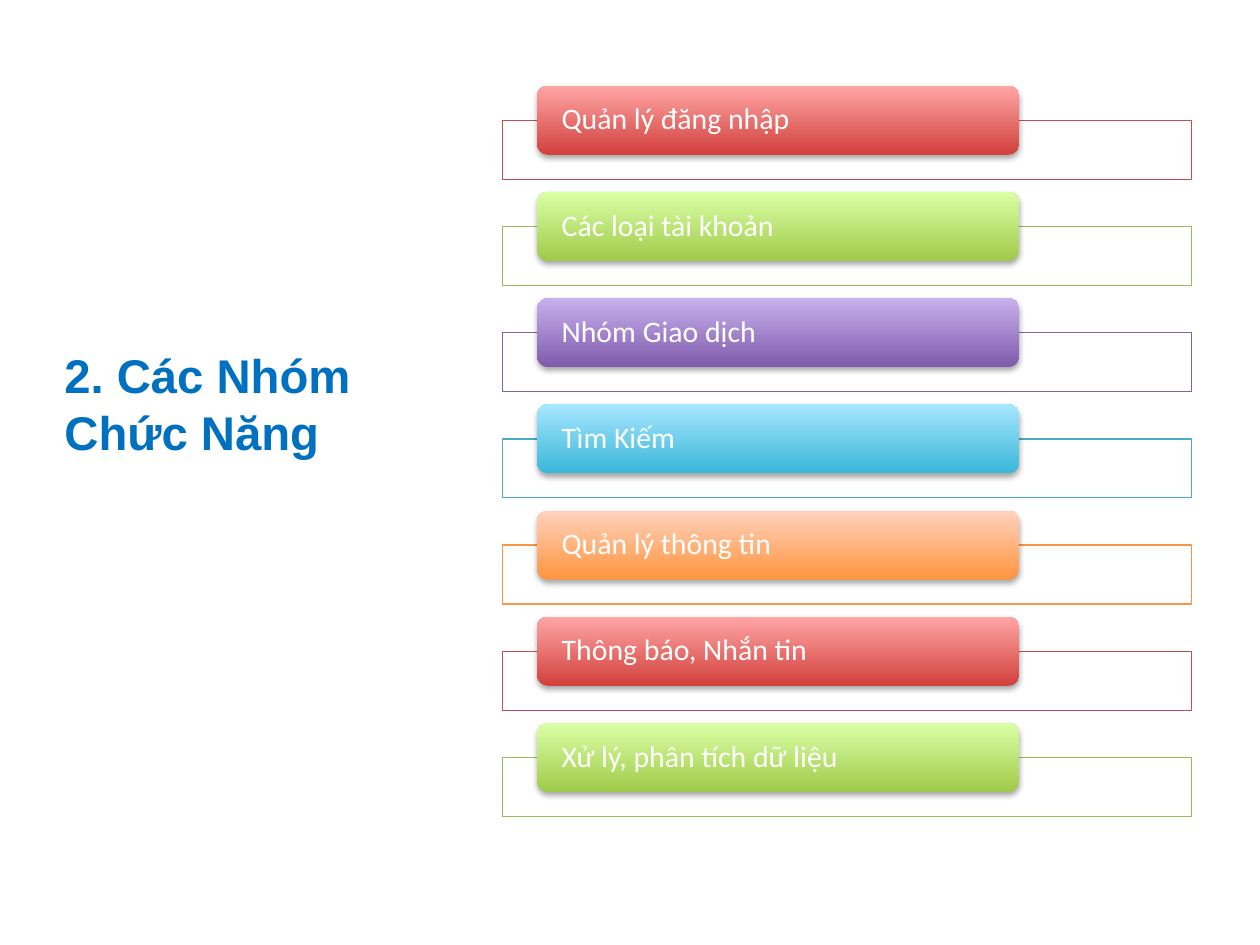
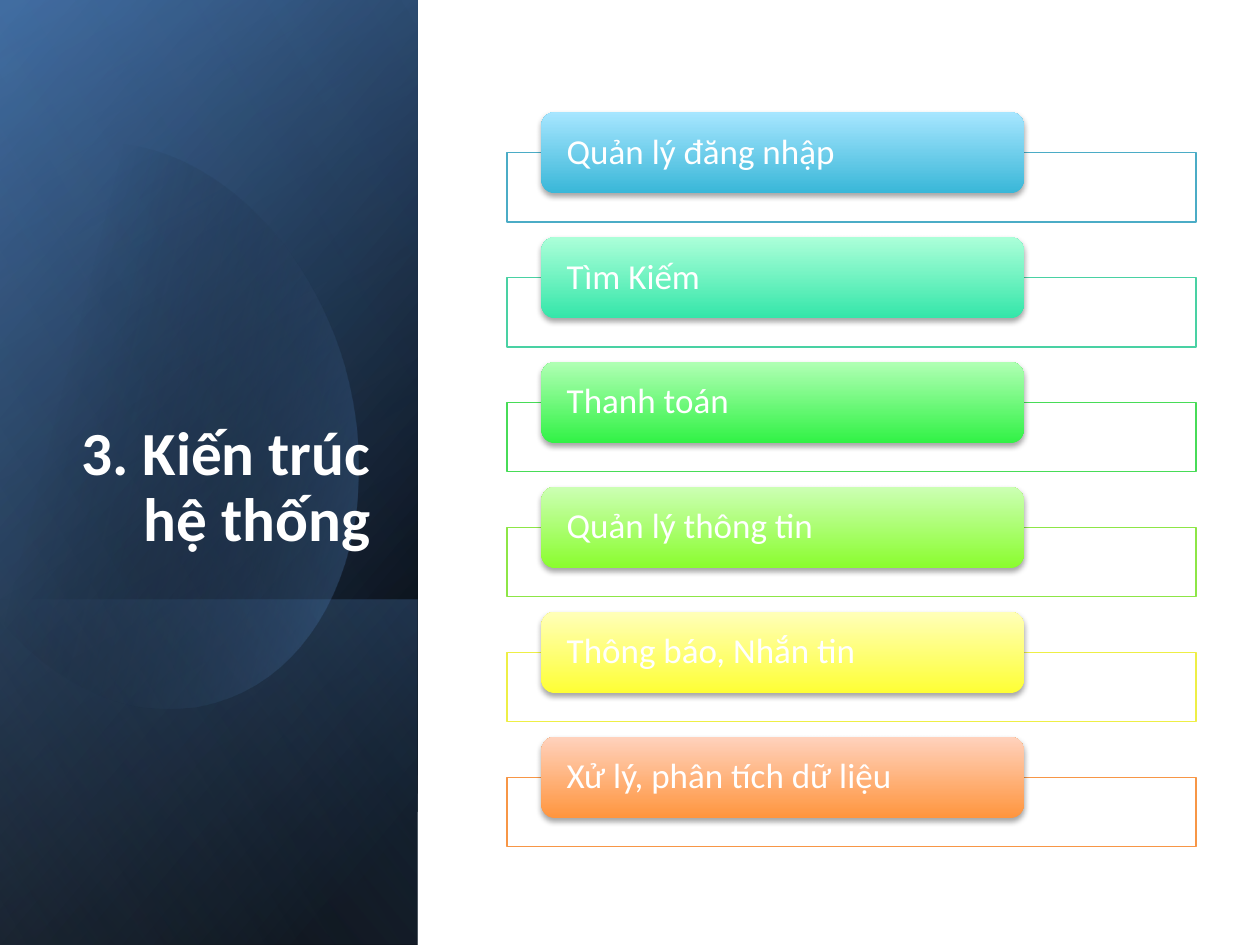
from lxml.etree import Element, SubElement
from pptx import Presentation
from pptx.dml.color import RGBColor
from pptx.enum.shapes import MSO_SHAPE as SHAPE
from pptx.enum.text import MSO_ANCHOR as ANCHOR, PP_ALIGN as ALIGN
from pptx.oxml.ns import qn
from pptx.util import Cm, Pt

COLORS = {
    "white": "FFFFFF", "black": "000000", "title": "0070C0",
    "navy": "376092", "blue": "4F81BD", "pale_blue": "95B3D7",
}
# Each accent: frame line, pill bottom, pill top
ACCENTS = {
    "red": ("C0504D", "D1403C", "FFA6A5"),
    "olive": ("9BBB59", "A0CA4A", "DAFFA5"),
    "purple": ("8064A2", "7F5BAB", "C8B0ED"),
    "aqua": ("4BACC6", "39B7D8", "A7E6FF"),
    "orange": ("F79646", "FF953E", "FFD2BD"),
    "mint": ("49D1A3", "34E6A9", "ACFFD9"),
    "green": ("47DC57", "31F245", "B0FFB4"),
    "lime": ("8DE646", "8AFD2E", "CCFFB4"),
    "yellow": ("EEEF46", "FEFF35", "FFFFB9"),
}
FUNCTION_GROUPS = [
    ("Quản lý đăng nhập", "red"),
    ("Các loại tài khoản", "olive"),
    ("Nhóm Giao dịch", "purple"),
    ("Tìm Kiếm", "aqua"),
    ("Quản lý thông tin", "orange"),
    ("Thông báo, Nhắn tin", "red"),
    ("Xử lý, phân tích dữ liệu", "olive"),
]
SYSTEM_PARTS = [
    ("Quản lý đăng nhập", "aqua"),
    ("Tìm Kiếm", "mint"),
    ("Thanh toán", "green"),
    ("Quản lý thông tin", "lime"),
    ("Thông báo, Nhắn tin", "yellow"),
    ("Xử lý, phân tích dữ liệu", "orange"),
]
# Oval outline in cm: a start, then curves (three points) and lines (one point)
OVAL_START = (2.44, 2.9)
OVAL_STEPS = [
    [(4.34, 3.1), (6.2, 4.88), (6.93, 7.37)],
    [(7.8, 10.46), (6.65, 13.49), (4.34, 14.15)],
    [(2.9, 14.58), (1.35, 13.97), (0.18, 12.7)],
    [(-0.08, 12.4)],
    [(-0.64, 4.22)],
    [(-0.38, 3.91)],
    [(0.05, 3.48), (0.56, 3.18), (1.14, 3)],
    [(1.57, 2.87), (2.01, 2.84), OVAL_START],
]


def add_color(parent, color, opacity=100):
    clr = SubElement(parent, qn("a:srgbClr"), val=color)
    if opacity < 100:
        SubElement(clr, qn("a:alpha"), val=str(opacity * 1000))


def set_gradient(sp, stops, angle):
    """Fill with (position %, colour, opacity %) stops, angle clockwise."""
    sp.fill.background()
    grad = Element(qn("a:gradFill"), rotWithShape="1")
    gs_list = SubElement(grad, qn("a:gsLst"))
    for pos, color, opacity in stops:
        gs = SubElement(gs_list, qn("a:gs"), pos=str(pos * 1000))
        add_color(gs, color, opacity)
    SubElement(grad, qn("a:lin"), ang=str(angle * 60000), scaled="0")
    spPr = sp._element.spPr
    spPr.replace(spPr.find(qn("a:noFill")), grad)


def add_box(s, kind, x, y, w, h):
    sp = s.shapes.add_shape(kind, Cm(x), Cm(y), Cm(w), Cm(h))
    sp.shadow.inherit = False
    sp.line.fill.background()
    return sp


def add_drop_shadow(sp):
    effects = sp._element.spPr.find(qn("a:effectLst"))
    shadow = SubElement(effects, qn("a:outerShdw"), blurRad="40000",
                        dist="23000", dir="5400000", rotWithShape="0")
    add_color(shadow, COLORS["black"], 35)


def write(sp, text, font, size, color, anchor, bold=False,
          align=ALIGN.LEFT, spacing=None, insets=(0.25, 0.13)):
    tf = sp.text_frame
    tf.word_wrap = True
    tf.vertical_anchor = anchor
    tf.margin_left = tf.margin_right = Cm(insets[0])
    tf.margin_top = tf.margin_bottom = Cm(insets[1])
    p = tf.paragraphs[0]
    p.alignment = align
    p.line_spacing = spacing
    r = p.add_run()
    r.text = text
    r.font.name, r.font.size, r.font.bold = font, Pt(size), bold
    r.font.color.rgb = RGBColor.from_string(color)


def add_title(s, box, text, **style):
    sp = s.shapes.add_textbox(*map(Cm, box))
    write(sp, text, bold=True, **style)


def add_pill_list(s, box, items, size):
    """Stack frames, each with a pill centred on its top edge."""
    x, y, w, h = box
    pitch = h / (len(items) - 0.12)
    pill_h, frame_h = 0.65 * pitch, 0.555 * pitch
    for i, (text, accent) in enumerate(items):
        line, bottom, top = ACCENTS[accent]
        pill_y = y + i * pitch
        frame = add_box(s, SHAPE.RECTANGLE, x, pill_y + pill_h / 2, w, frame_h)
        set_gradient(frame, [(0, COLORS["white"], 90),
                             (100, COLORS["white"], 90)], 0)
        frame.line.color.rgb = RGBColor.from_string(line)
        frame.line.width = Pt(0.75)

        pill = add_box(s, SHAPE.ROUNDED_RECTANGLE,
                       x + 0.05 * w, pill_y, 0.7 * w, pill_h)
        set_gradient(pill, [(0, bottom, 100), (100, top, 100)], 270)
        add_drop_shadow(pill)
        write(pill, text, "Calibri", size, COLORS["white"], ANCHOR.MIDDLE,
              spacing=0.9, insets=(0.43, 0))


def add_turned_band(s, box, stops, angle):
    """Fill the box with a mirrored rectangle turned by 90 degrees."""
    x, y, w, h = box
    sp = add_box(s, SHAPE.RECTANGLE, x + (w - h) / 2, y + (h - w) / 2, h, w)
    sp.rotation = 90
    sp._element.spPr.xfrm.set("flipH", "1")
    set_gradient(sp, stops, angle)


def curve_points(start, c1, c2, end, steps=24):
    for i in range(1, steps + 1):
        t = i / steps
        u = 1 - t
        yield tuple(u**3 * a + 3 * u * u * t * b + 3 * u * t * t * c + t**3 * d
                    for a, b, c, d in zip(start, c1, c2, end))


def add_oval(s, x, y):
    points = [OVAL_START]
    for step in OVAL_STEPS:
        points += curve_points(points[-1], *step) if len(step) == 3 else step
    places = [(Cm(x + px), Cm(y + py)) for px, py in points]
    builder = s.shapes.build_freeform(*places[0])
    builder.add_line_segments(places[1:], close=True)
    sp = builder.convert_to_shape()
    sp.shadow.inherit = False
    sp.line.fill.background()
    set_gradient(sp, [(29, COLORS["black"], 0), (100, COLORS["blue"], 43)], 14)


def add_side_panel(s, box):
    x, y, w, h = box
    black, blue = COLORS["black"], COLORS["blue"]
    low_h = 6.96
    add_turned_band(s, box, [(8, black, 100), (100, COLORS["navy"], 100)], 50)
    add_turned_band(s, box, [(0, black, 0), (99, blue, 46)], 30)
    add_turned_band(s, (x, y + h - low_h, w, low_h),
                    [(2, blue, 29), (100, black, 30)], 130)
    add_oval(s, x, y)
    add_turned_band(s, box, [(0, black, 0), (99, COLORS["pale_blue"], 11)], 120)


def add_function_slide(s):
    add_title(s, (1.12, 5.31, 7.44, 5.64), "2. Các Nhóm Chức Năng",
              font="Arial", size=27, color=COLORS["title"],
              anchor=ANCHOR.MIDDLE, insets=(0.18, 0.1))
    add_pill_list(s, (10.13, 1.73, 13.89, 14.73), FUNCTION_GROUPS, 17)


def add_system_slide(s):
    add_side_panel(s, (0, 0, 8.42, 19.05))
    add_title(s, (1.22, 4.67, 6.5, 6.65), "3. Kiến trúc hệ thống",
              font="Calibri", size=35, color=COLORS["white"],
              anchor=ANCHOR.BOTTOM, align=ALIGN.RIGHT, spacing=0.9)
    add_pill_list(s, (10.22, 2.26, 13.89, 14.81), SYSTEM_PARTS, 20)


def main():
    prs = Presentation()
    prs.slide_width, prs.slide_height = Cm(25.4), Cm(19.05)
    for fill_slide in (add_function_slide, add_system_slide):
        fill_slide(prs.slides.add_slide(prs.slide_layouts[6]))
    prs.save("out.pptx")


if __name__ == "__main__":
    main()
